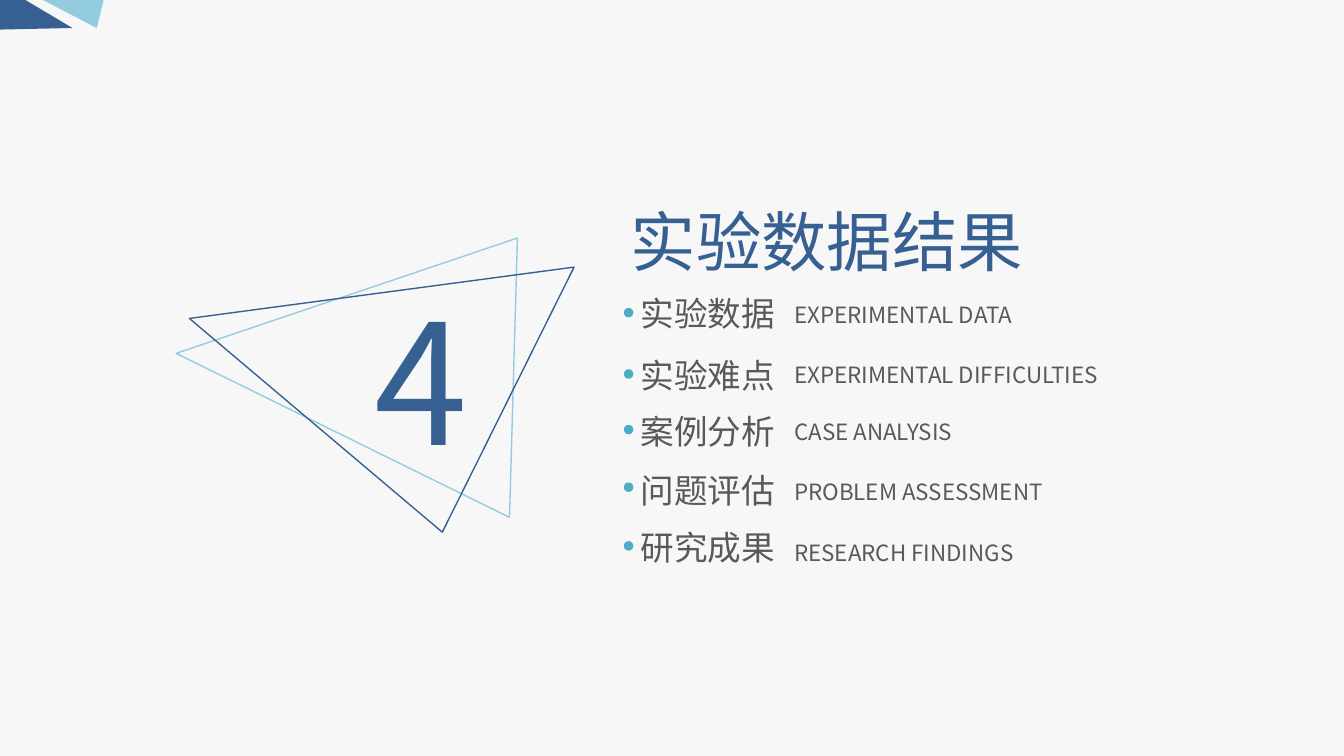
from lxml import etree
from pptx import Presentation
from pptx.dml.color import RGBColor
from pptx.enum.shapes import MSO_SHAPE
from pptx.enum.text import MSO_AUTO_SIZE, PP_ALIGN
from pptx.oxml.ns import qn
from pptx.util import Cm, Pt

OVAL = MSO_SHAPE.OVAL
GROW = MSO_AUTO_SIZE.SHAPE_TO_FIT_TEXT
LEFT, CENTER = PP_ALIGN.LEFT, PP_ALIGN.CENTER

FONT = "Noto Sans CJK SC"
BLUE, PALE_BLUE, TEAL = "376092", "93CDDD", "4BACC6"
GREY, BACKGROUND = "595959", "F7F7F7"

TOPICS = [
    ("实验数据", 5.41, "EXPERIMENTAL DATA", 5.56, 4.88, 5.82),
    ("实验难点", 6.58, "EXPERIMENTAL DIFFICULTIES", 6.71, 6.48, 6.98),
    ("案例分析", 7.65, "CASE ANALYSIS", 7.77, 3.71, 8.03),
    ("问题评估", 8.76, "PROBLEM ASSESSMENT", 8.92, 5.44, 9.12),
    ("研究成果", 9.83, "RESEARCH FINDINGS", 10.06, 4.88, 10.23),
]
OUTLINES = [
    ([(9.78, 4.5), (3.33, 6.68), (9.63, 9.78)], PALE_BLUE),
    ([(3.58, 6.02), (10.85, 5.05), (8.36, 10.06)], BLUE),
]
CORNER_PIECES = [
    ([(0.81, 0), (1.83, 0.53), (1.96, 0)], PALE_BLUE),
    ([(1.37, 0.53), (0.48, 0), (0, 0), (0, 0.56)], BLUE),
]


def color(value):
    return RGBColor.from_string(value)


class SectionSlide:
    """Holds the style and the current slide, and draws each kind of element."""

    def __init__(self, presentation, font):
        self.font = font
        self.slide = presentation.slides.add_slide(presentation.slide_layouts[6])

    def background(self, value):
        fill = self.slide.background.fill
        fill.solid()
        fill.fore_color.rgb = color(value)

    def text(self, content, left, top, width, height, size, value, align=LEFT):
        box = self.slide.shapes.add_textbox(Cm(left), Cm(top), Cm(width), Cm(height))
        frame = box.text_frame
        frame.word_wrap = False
        frame.auto_size = GROW
        paragraph = frame.paragraphs[0]
        paragraph.alignment = align
        run = paragraph.add_run()
        run.text = content
        run.font.size = Pt(size)
        run.font.color.rgb = color(value)
        run.font.name = self.font
        east_asian = etree.SubElement(run.font._element, qn("a:ea"))
        east_asian.set("typeface", self.font)

    def paint(self, shape, fill=None, line=None):
        shape.shadow.inherit = False
        if fill:
            shape.fill.solid()
            shape.fill.fore_color.rgb = color(fill)
        else:
            shape.fill.background()
        if line:
            shape.line.color.rgb = color(line)
            shape.line.width = Pt(0.75)
        else:
            shape.line.fill.background()

    def dot(self, left, top, diameter, value):
        shape = self.slide.shapes.add_shape(
            OVAL, Cm(left), Cm(top), Cm(diameter), Cm(diameter))
        self.paint(shape, fill=value)

    def polygon(self, points, fill=None, line=None):
        start, *others = [(Cm(x), Cm(y)) for x, y in points]
        builder = self.slide.shapes.build_freeform(*start)
        builder.add_line_segments(others, close=True)
        self.paint(builder.convert_to_shape(), fill, line)


def main():
    presentation = Presentation()
    presentation.slide_width = Cm(25.4)
    presentation.slide_height = Cm(14.29)

    section = SectionSlide(presentation, FONT)
    section.background(BACKGROUND)
    section.text("实验数据结果", 11.63, 3.68, 8, 1.75, 35, BLUE, CENTER)
    for chinese, chinese_top, english, english_top, english_width, dot_top in TOPICS:
        section.text(chinese, 11.86, chinese_top, 3.07, 1.02, 18, GREY)
        section.text(english, 14.76, english_top, english_width, 0.76, 12, GREY)
        section.dot(11.79, dot_top, 0.18, TEAL)
    for points, value in OUTLINES:
        section.polygon(points, line=value)
    section.text("4", 6.83, 5.13, 2.39, 4.11, 90, BLUE)
    for points, value in CORNER_PIECES:
        section.polygon(points, fill=value)

    presentation.save("out.pptx")


if __name__ == "__main__":
    main()
